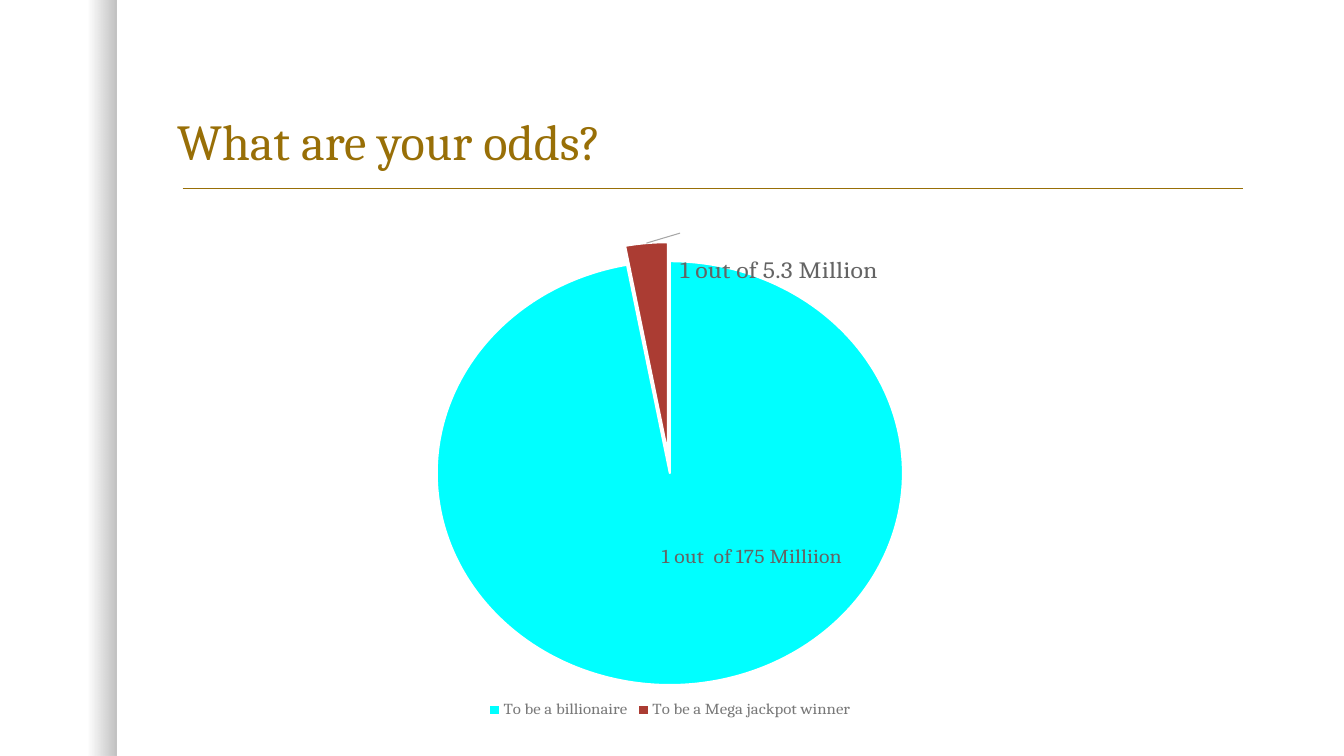
from pptx import Presentation
from pptx.chart.data import CategoryChartData
from pptx.dml.color import RGBColor
from pptx.enum.chart import XL_CHART_TYPE, XL_LABEL_POSITION, XL_LEGEND_POSITION
from pptx.enum.text import MSO_ANCHOR
from pptx.enum.shapes import MSO_CONNECTOR, MSO_SHAPE
from pptx.oxml import parse_xml
from pptx.oxml.ns import nsdecls, qn
from pptx.util import Pt
from lxml.etree import SubElement

GOLD = RGBColor(0x98, 0x6F, 0x07)
CYAN = RGBColor(0x00, 0xFF, 0xFF)
RED = RGBColor(0xAB, 0x3C, 0x33)
BLACK = RGBColor(0, 0, 0)
WHITE = RGBColor(0xFF, 0xFF, 0xFF)
INK = RGBColor(0x30, 0x30, 0x30)
LABEL = RGBColor(0x64, 0x64, 0x64)
GRAY = RGBColor(0x78, 0x78, 0x78)
PALE = RGBColor(0xA6, 0xA6, 0xA6)

# name, odds, colour, label, label size, label shift, explosion
SLICES = [
    ("To be a billionaire", 1 / 5_300_000, CYAN, "1 out  of 175 Milliion", 15.5, (-0.03, -0.31), 0),
    ("To be a Mega jackpot winner", 1 / 175_000_000, RED, "1 out of 5.3 Million", 18.4, (0.23, -0.01), 9),
]


class Deck:
    def __init__(self, font):
        self.font = font
        self.file = Presentation()
        self.file.slide_width, self.file.slide_height = Pt(960), Pt(540)
        self.slide = self.file.slides.add_slide(self.file.slide_layouts[6])
        self.shapes = self.slide.shapes

    def style(self, font, size, color):
        font.name, font.size = self.font, Pt(size)
        font.color.rgb = color

    def shade(self, x, y, w, h, stops):
        """Draw a rectangle of black that fades; stops are (position, opacity)."""
        box = self.shapes.add_shape(MSO_SHAPE.RECTANGLE, Pt(x), Pt(y), Pt(w), Pt(h))
        box.shadow.inherit = False
        box.line.fill.background()
        box.fill.gradient()
        box.fill.gradient_angle = 0
        for stop, (pos, alpha) in zip(box.fill.gradient_stops, stops):
            stop.position = pos
            stop.color.rgb = BLACK
        marks = box.fill._xPr.iter(qn("a:srgbClr"))
        for mark, (pos, alpha) in zip(marks, stops):
            SubElement(mark, qn("a:alpha")).set("val", str(int(alpha * 100000)))

    def rule(self, x1, x2, y, color, width):
        line = self.shapes.add_connector(MSO_CONNECTOR.STRAIGHT, Pt(x1), Pt(y), Pt(x2), Pt(y))
        line.line.color.rgb = color
        line.line.width = Pt(width)
        SubElement(line._element.spPr, qn("a:effectLst"))

    def text(self, x, y, w, h, words, size, color):
        frame = self.shapes.add_textbox(Pt(x), Pt(y), Pt(w), Pt(h)).text_frame
        frame.word_wrap = True
        frame.vertical_anchor = MSO_ANCHOR.BOTTOM
        para = frame.paragraphs[0]
        para.line_spacing = 0.9
        run = para.add_run()
        run.text = words
        self.style(run.font, size, color)

    def pie(self, x, y, w, h, slices):
        data = CategoryChartData()
        data.categories = [part[0] for part in slices]
        data.add_series("Series 1", [part[1] for part in slices])
        chart = self.shapes.add_chart(
            XL_CHART_TYPE.PIE, Pt(x), Pt(y), Pt(w), Pt(h), data).chart
        chart.has_title = False
        self.style(chart.font, 10, INK)
        chart.has_legend = True
        chart.legend.position = XL_LEGEND_POSITION.BOTTOM
        chart.legend.include_in_layout = False
        self.style(chart.legend.font, 12, GRAY)
        plot = chart.plots[0]
        plot.vary_by_categories = True
        area = plot._element.getparent()
        for old in area.findall(qn("c:layout")):
            area.remove(old)
        area.insert(0, self.layout(
            layoutTarget="inner", xMode="edge", yMode="edge", x=0, y=0.01, w=1, h=0.91))
        series = plot.series[0]
        labels = series.data_labels
        labels.show_value = True
        labels.position = XL_LABEL_POSITION.BEST_FIT
        self.style(labels.font, 12, LABEL)
        self.leader(labels._element)
        for i, part in enumerate(slices):
            self.slice(series.points[i], *part[2:])

    def leader(self, tag):
        """Make the lines from slices to their labels thin and pale."""
        for old in tag.findall(qn("c:showLeaderLines")):
            tag.remove(old)
        SubElement(tag, qn("c:showLeaderLines")).set("val", "1")
        tag.append(parse_xml(
            f'<c:leaderLines {nsdecls("c", "a")}><c:spPr><a:ln w="9525"><a:solidFill>'
            f'<a:srgbClr val="{PALE}"/></a:solidFill></a:ln></c:spPr></c:leaderLines>'))

    def slice(self, point, color, words, size, shift, burst):
        point.format.fill.solid()
        point.format.fill.fore_color.rgb = color
        point.format.line.color.rgb = WHITE
        point.format.line.width = Pt(1.5)
        if burst:
            mark = parse_xml(f'<c:explosion {nsdecls("c")} val="{burst}"/>')
            point.format.fill._xPr.addprevious(mark)
        label = point.data_label
        run = label.text_frame.paragraphs[0].add_run()
        run.text = words
        self.style(run.font, size, LABEL)
        label.position = XL_LABEL_POSITION.BEST_FIT
        tag = label._get_or_add_dLbl()
        tag.insert(1, self.layout(x=shift[0], y=shift[1]))

    def layout(self, **parts):
        inner = "".join(f'<c:{key} val="{val}"/>' for key, val in parts.items())
        return parse_xml(
            f'<c:layout {nsdecls("c")}><c:manualLayout>{inner}</c:manualLayout></c:layout>')


def main():
    deck = Deck("Cambria")
    deck.shade(0, 0, 83.52, 540, [(0.75, 0), (1, 0.25)])
    deck.rule(130.5, 888, 134.5, GOLD, 1)
    deck.text(119.5, 30, 774, 96, "What are your odds?", 36, GOLD)
    deck.pie(117.5, 150, 722, 366, SLICES)
    deck.file.save("out.pptx")


if __name__ == "__main__":
    main()
